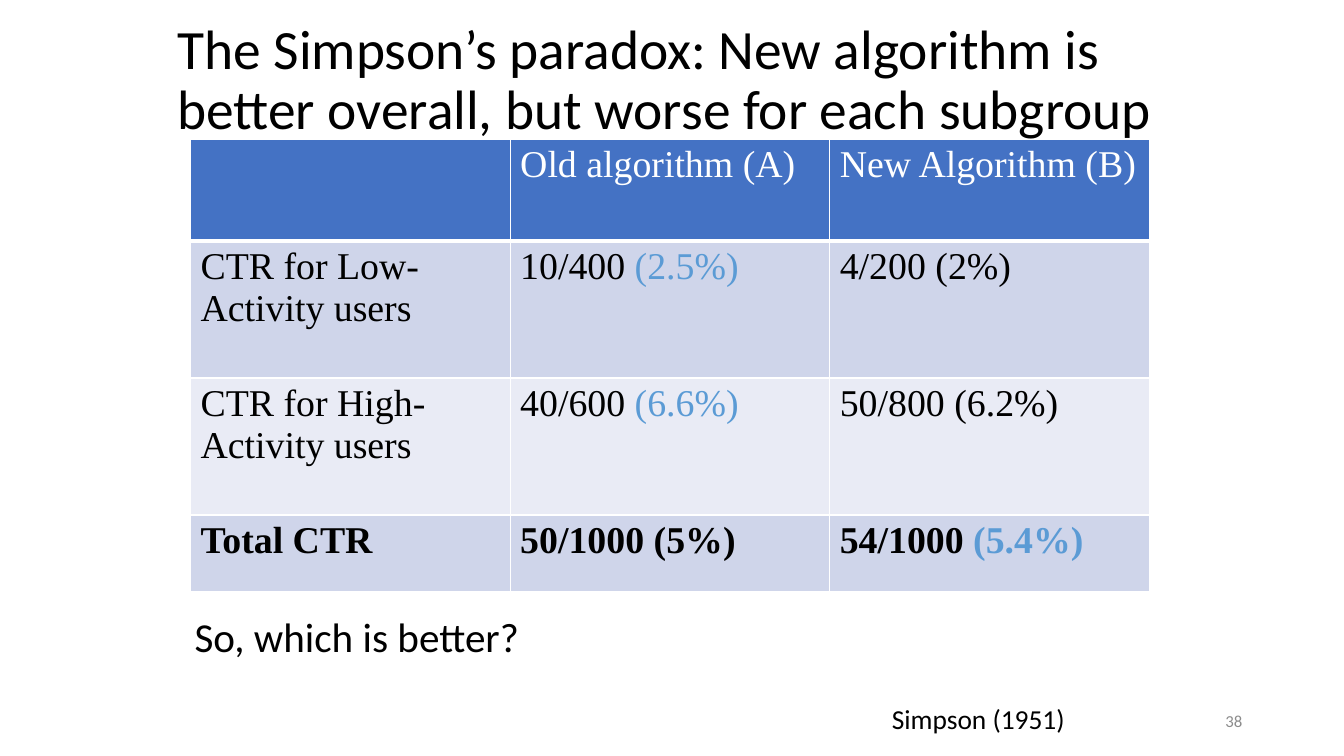
from dataclasses import dataclass

from lxml.etree import SubElement
from pptx import Presentation
from pptx.dml.color import RGBColor
from pptx.enum.text import MSO_ANCHOR, PP_ALIGN
from pptx.oxml.ns import qn
from pptx.util import Pt

PX = 9144  # EMU; 100 px to the inch
SANS, SERIF = "Calibri", "Times New Roman"
BLACK, WHITE, BLUE, WINNER = "000000", "FFFFFF", "4472C4", "5B9BD5"
BANDS = ["CFD5EA", "E9EBF5"]


@dataclass
class Label:
    text: str
    box: tuple[int, int, int, int]
    size: float
    color: str = BLACK
    align: PP_ALIGN = PP_ALIGN.LEFT
    anchor: MSO_ANCHOR = MSO_ANCHOR.TOP
    insets: tuple[int, int] = (10, 5)
    spacing: float = 0.9


@dataclass
class Row:
    height: int
    cells: list[list[tuple[str, str]]]
    bold: bool = False


TITLE = Label("The Simpson’s paradox: New algorithm is better overall, "
              "but worse for each subgroup",
              (166, 32, 1011, 98), 39.6, anchor=MSO_ANCHOR.MIDDLE)
LABELS = [
    Label("So, which is better?", (193, 608, 850, 61), 29.4, insets=(0, 4)),
    Label("38", (942, 695, 300, 40), 12, "8C8C8C", PP_ALIGN.RIGHT,
          MSO_ANCHOR.MIDDLE, spacing=1.0),
    Label("Simpson (1951)", (381, 685, 695, 61), 19.6,
          align=PP_ALIGN.RIGHT, insets=(20, 16)),
]
ROWS = [
    Row(101, [[], [("Old algorithm (A)", WHITE)], [("New Algorithm (B)", WHITE)]]),
    Row(136, [[("CTR for Low-Activity users", BLACK)],
              [("10/400 ", BLACK), ("(2.5%)", WINNER)],
              [("4/200 (2%)", BLACK)]]),
    Row(136, [[("CTR for High-Activity users", BLACK)],
              [("40/600 ", BLACK), ("(6.6%)", WINNER)],
              [("50/800 (6.2%)", BLACK)]]),
    Row(76, [[("Total CTR", BLACK)],
             [("50/1000 (5%)", BLACK)],
             [("54/1000 ", BLACK), ("(5.4%)", WINNER)]], bold=True),
]
COL_WIDTH = 317


def rgb(color: str) -> RGBColor:
    return RGBColor.from_string(color)


def add_run(p, text: str, font: str, size: float, color: str, bold: bool = False) -> None:
    r = p.add_run()
    r.text = text
    r.font.name, r.font.size, r.font.bold = font, Pt(size), bold
    r.font.color.rgb = rgb(color)


def fill_label(sp, label: Label) -> None:
    sp.left, sp.top, sp.width, sp.height = (v * PX for v in label.box)
    tf = sp.text_frame
    tf.word_wrap = True
    tf.vertical_anchor = label.anchor
    across, down = label.insets
    tf.margin_left = tf.margin_right = across * PX
    tf.margin_top = tf.margin_bottom = down * PX
    p = tf.paragraphs[0]
    p.alignment, p.line_spacing = label.align, label.spacing
    add_run(p, label.text, SANS, label.size, label.color)


def add_borders(cell, top: int, bottom: int) -> None:
    tc_pr = cell._tc.get_or_add_tcPr()
    for side, width in (("L", 1), ("R", 1), ("T", top), ("B", bottom)):
        ln = SubElement(tc_pr, qn(f"a:ln{side}"), w=str(Pt(width)))
        SubElement(SubElement(ln, qn("a:solidFill")), qn("a:srgbClr"), val=WHITE)


def add_ctr_table(s) -> None:
    columns = len(ROWS[0].cells)
    height = sum(row.height for row in ROWS)
    table = s.shapes.add_table(len(ROWS), columns, 189 * PX, 138 * PX,
                               columns * COL_WIDTH * PX, height * PX).table
    for column in table.columns:
        column.width = COL_WIDTH * PX
    for i, row in enumerate(ROWS):
        table.rows[i].height = row.height * PX
        for j, runs in enumerate(row.cells):
            cell = table.cell(i, j)
            add_borders(cell, 3 if i == 1 else 1, 3 if i == 0 else 1)
            cell.fill.solid()
            cell.fill.fore_color.rgb = rgb(BANDS[(i - 1) % 2] if i else BLUE)
            p = cell.text_frame.paragraphs[0]
            for text, color in runs:
                add_run(p, text, SERIF, 27, color, row.bold)


def main() -> None:
    prs = Presentation()
    prs.slide_width, prs.slide_height = 1333 * PX, 750 * PX
    s = prs.slides.add_slide(prs.slide_layouts.get_by_name("Title Only"))
    fill_label(s.shapes.title, TITLE)
    add_ctr_table(s)
    for label in LABELS:
        fill_label(s.shapes.add_textbox(0, 0, 0, 0), label)
    prs.save("out.pptx")


if __name__ == "__main__":
    main()
